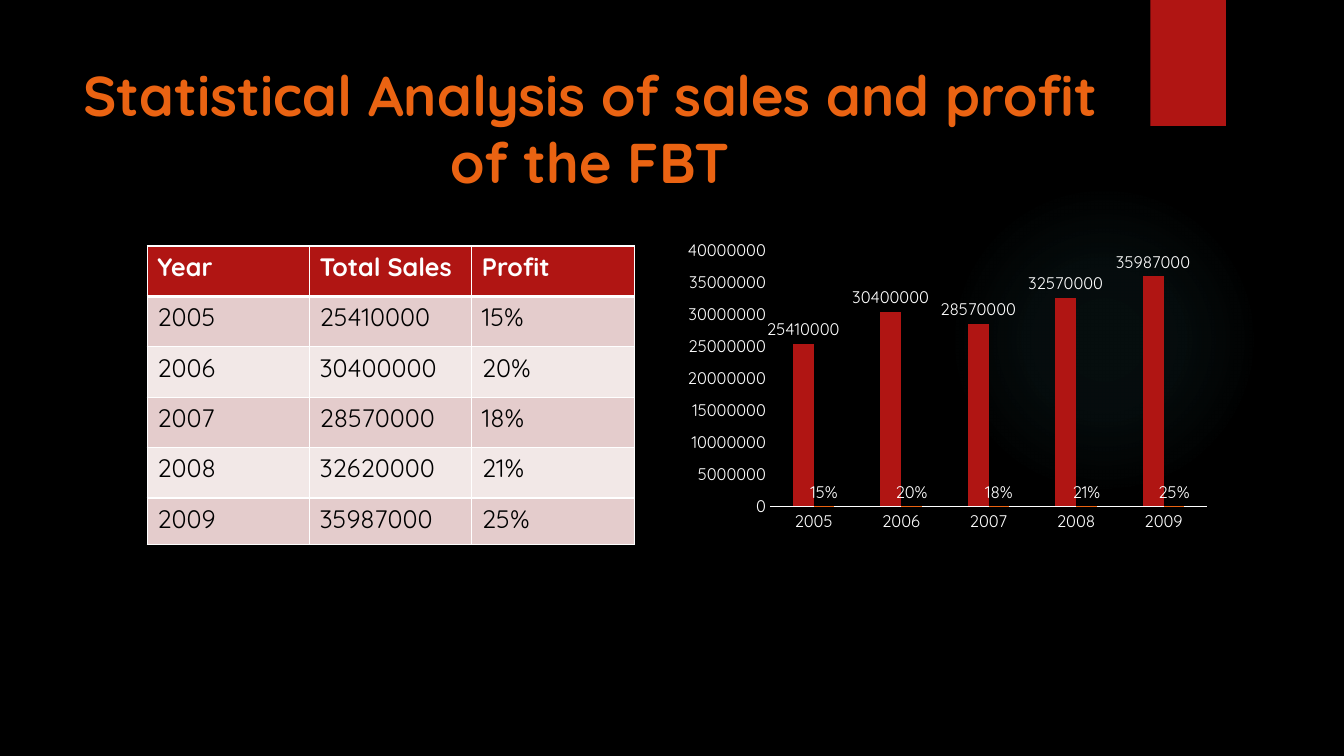
from lxml.etree import SubElement
from pptx import Presentation
from pptx.chart.data import CategoryChartData
from pptx.dml.color import RGBColor
from pptx.enum.chart import XL_CHART_TYPE, XL_LABEL_POSITION, XL_TICK_MARK
from pptx.enum.shapes import MSO_SHAPE
from pptx.enum.text import MSO_ANCHOR, MSO_AUTO_SIZE, PP_ALIGN
from pptx.oxml import parse_xml
from pptx.oxml.ns import nsdecls, qn
from pptx.util import Inches, Pt

TITLE = "Statistical Analysis of sales and profit of the FBT"
TABLE = [
    ("Year", "Total Sales", "Profit"),
    ("2005", "25410000", "15%"),
    ("2006", "30400000", "20%"),
    ("2007", "28570000", "18%"),
    ("2008", "32620000", "21%"),
    ("2009", "35987000", "25%"),
]
YEARS = ["2005", "2006", "2007", "2008", "2009"]
SALES = [25410000, 30400000, 28570000, 32570000, 35987000]
PROFIT = [0.15, 0.2, 0.18, 0.21, 0.25]

FONT = "Quicksand"
BLACK = RGBColor(0x00, 0x00, 0x00)
WHITE = RGBColor(0xFF, 0xFF, 0xFF)
RED = RGBColor(0xB0, 0x15, 0x13)
ORANGE = RGBColor(0xEA, 0x63, 0x12)
TEAL = RGBColor(0x50, 0xB9, 0xC1)
BAND_DARK = RGBColor(0xE4, 0xCC, 0xCC)
BAND_LIGHT = RGBColor(0xF2, 0xE8, 0xE7)

COL_W = 1.61
ROW_H = [0.5] * 5 + [0.46]
GLOW_STOPS = [(0, 7), (36, 6), (69, 0)]
PLOT = {"x": 0.145, "y": 0.117, "w": 0.852, "h": 0.769}


def set_font(font, size, color, bold=False):
    font.name, font.size, font.bold = FONT, Pt(size), bold
    font.color.rgb = color


def write(tf, text, size=18, color=BLACK, bold=False, align=PP_ALIGN.LEFT):
    p = tf.paragraphs[0]
    p.alignment = align
    r = p.add_run()
    r.text = text
    set_font(r.font, size, color, bold)


def add_block(s, preset, x, y, w, h, color):
    sp = s.shapes.add_shape(preset, Inches(x), Inches(y), Inches(w), Inches(h))
    sp.shadow.inherit = False
    sp.fill.solid()
    sp.fill.fore_color.rgb = color
    sp.line.fill.background()
    return sp


def make_glow(sp, color):
    stops = "".join(
        f'<a:gs pos="{pos * 1000}"><a:srgbClr val="{color}">'
        f'<a:alpha val="{alpha * 1000}"/></a:srgbClr></a:gs>'
        for pos, alpha in GLOW_STOPS
    )
    grad = parse_xml(
        f'<a:gradFill {nsdecls("a")}><a:gsLst>{stops}</a:gsLst><a:path path="circle">'
        '<a:fillToRect l="50000" t="50000" r="50000" b="50000"/></a:path></a:gradFill>'
    )
    spPr = sp.element.spPr
    spPr.replace(spPr.find(qn("a:solidFill")), grad)


def set_borders(cell, **widths):
    tcPr = cell._tc.get_or_add_tcPr()
    for side in "LRTB":
        ln = SubElement(tcPr, qn(f"a:ln{side}"), w=str(Pt(widths.get(side, 1))))
        fill = SubElement(ln, qn("a:solidFill"))
        SubElement(fill, qn("a:srgbClr"), val=str(WHITE))


def add_sales_table(s):
    tbl = s.shapes.add_table(len(TABLE), 3, Inches(1.46), Inches(2.44),
                             Inches(3 * COL_W), Inches(sum(ROW_H))).table
    for col in tbl.columns:
        col.width = Inches(COL_W)
    for i, (values, h) in enumerate(zip(TABLE, ROW_H)):
        tbl.rows[i].height = Inches(h)
        header = i == 0
        for j, text in enumerate(values):
            cell = tbl.cell(i, j)
            set_borders(cell, B=3 if header else 1, T=3 if i == 1 else 1)
            cell.fill.solid()
            cell.fill.fore_color.rgb = RED if header else BAND_DARK if i % 2 else BAND_LIGHT
            write(cell.text_frame, text, color=WHITE if header else BLACK, bold=header)


def add_sales_chart(s):
    data = CategoryChartData()
    data.categories = YEARS
    data.add_series("Series 1", SALES, "0")
    data.add_series("Series 2", PROFIT, "0%")
    chart = s.shapes.add_chart(XL_CHART_TYPE.COLUMN_CLUSTERED, Inches(6.82), Inches(2.1),
                               Inches(5.17), Inches(3.3), data).chart
    chart.has_legend = chart.has_title = False
    set_font(chart.font, 10, WHITE)
    plot = chart.plots[0]
    plot.gap_width, plot.overlap, plot.vary_by_categories = 219, 0, False
    for series, color in zip(plot.series, (RED, ORANGE)):
        series.format.fill.solid()
        series.format.fill.fore_color.rgb = color
        labels = series.data_labels
        labels.show_value = True
        labels.position = XL_LABEL_POSITION.OUTSIDE_END
        set_font(labels.font, 12, WHITE)
    for axis in (chart.category_axis, chart.value_axis):
        axis.major_tick_mark = axis.minor_tick_mark = XL_TICK_MARK.NONE
        axis.has_major_gridlines = False
        set_font(axis.tick_labels.font, 12, WHITE)
    line = chart.category_axis.format.line
    line.color.rgb, line.width = WHITE, Pt(0.75)
    axis = chart.value_axis
    axis.format.line.fill.background()
    axis.minimum_scale, axis.maximum_scale, axis.major_unit = 0, 40000000, 5000000
    axis.tick_labels.number_format = "0"
    axis.tick_labels.number_format_is_linked = False

    area = chart.element.find(".//" + qn("c:plotArea"))
    layout = area.find(qn("c:layout"))
    if layout is None:
        layout = parse_xml(f'<c:layout {nsdecls("c")}/>')
        area.insert(0, layout)
    manual = SubElement(layout, qn("c:manualLayout"))
    SubElement(manual, qn("c:layoutTarget"), val="inner")
    for key in "xy":
        SubElement(manual, qn(f"c:{key}Mode"), val="edge")
    for key, value in PLOT.items():
        SubElement(manual, qn(f"c:{key}"), val=str(value))


def main():
    prs = Presentation()
    prs.slide_width, prs.slide_height = Inches(13.33), Inches(7.5)
    s = prs.slides.add_slide(prs.slide_layouts[5])
    s.background.fill.solid()
    s.background.fill.fore_color.rgb = BLACK

    title = s.shapes.title
    title.left, title.top = Inches(0.71), Inches(0.5)
    title.width, title.height = Inches(10.29), Inches(1.53)
    tf = title.text_frame
    tf.word_wrap, tf.auto_size = True, MSO_AUTO_SIZE.NONE
    tf.vertical_anchor = MSO_ANCHOR.MIDDLE
    write(tf, TITLE, size=40, color=ORANGE, bold=True, align=PP_ALIGN.CENTER)

    make_glow(add_block(s, MSO_SHAPE.OVAL, 9.41, 1.83, 3.08, 3.08, TEAL), TEAL)
    add_block(s, MSO_SHAPE.RECTANGLE, 11.41, 0, 0.75, 1.25, RED)
    add_sales_table(s)
    add_sales_chart(s)
    prs.save("out.pptx")


if __name__ == "__main__":
    main()
